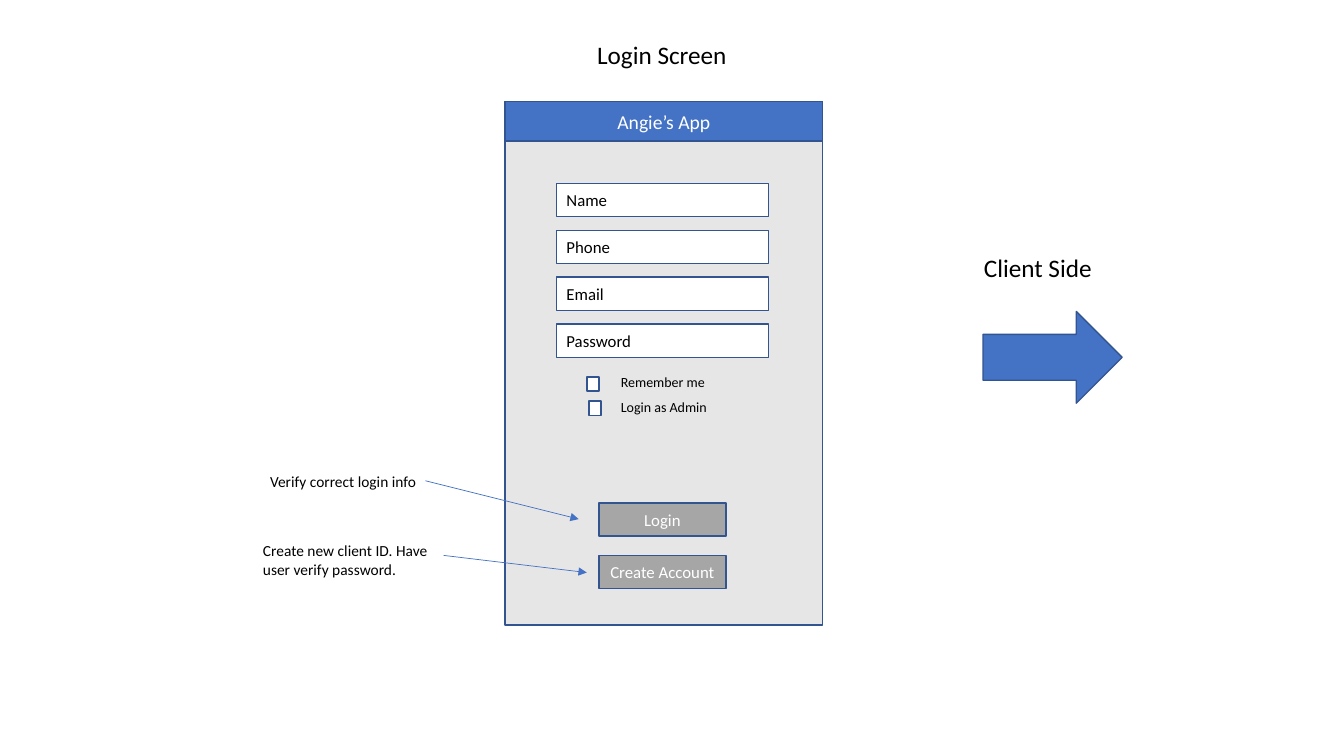
from lxml import etree
from pptx import Presentation
from pptx.dml.color import RGBColor
from pptx.enum.shapes import MSO_CONNECTOR as CONNECTOR, MSO_SHAPE as SHAPE
from pptx.enum.text import MSO_ANCHOR as ANCHOR, MSO_AUTO_SIZE as AUTO, PP_ALIGN as ALIGN
from pptx.oxml.ns import qn
from pptx.util import Inches, Pt

BLUE, OUTLINE, PANEL, BUTTON = "4472C4", "325491", "E7E6E6", "A6A6A6"
BLACK, WHITE = "000000", "FFFFFF"


def color(value):
    return RGBColor.from_string(value)


def write(frame, text, size, ink=BLACK, align=ALIGN.LEFT, anchor=ANCHOR.TOP):
    frame.word_wrap = True
    frame.auto_size = AUTO.NONE
    frame.vertical_anchor = anchor
    frame.margin_left = frame.margin_right = Inches(0.1)
    frame.margin_top = frame.margin_bottom = Inches(0.05)
    paragraph = frame.paragraphs[0]
    paragraph.alignment = align
    run = paragraph.add_run()
    run.text = text
    run.font.name = "Calibri"
    run.font.size = Pt(size)
    run.font.color.rgb = color(ink)


def add_box(slide, left, top, width, height, fill, kind=SHAPE.RECTANGLE):
    box = slide.shapes.add_shape(
        kind, Inches(left), Inches(top), Inches(width), Inches(height))
    box.shadow.inherit = False
    box.fill.solid()
    box.fill.fore_color.rgb = color(fill)
    box.line.color.rgb = color(OUTLINE)
    box.line.width = Pt(1)
    return box


def add_label(slide, left, top, width, height, text, size):
    label = slide.shapes.add_textbox(
        Inches(left), Inches(top), Inches(width), Inches(height))
    write(label.text_frame, text, size)


def add_arrow(slide, start, end):
    arrow = slide.shapes.add_connector(
        CONNECTOR.STRAIGHT, *(Inches(length) for length in (*start, *end)))
    arrow.line.color.rgb = color(BLUE)
    arrow.line.width = Pt(0.5)
    properties = arrow.element.spPr
    etree.SubElement(properties.find(qn("a:ln")), qn("a:tailEnd"), type="triangle")
    etree.SubElement(properties, qn("a:effectLst"))


def place_title(slide, left, top, width, height):
    title = slide.shapes.title
    title.left, title.top = Inches(left), Inches(top)
    title.width, title.height = Inches(width), Inches(height)
    write(title.text_frame, "Login Screen", 18, align=ALIGN.CENTER)


def draw_phone(slide, left, top, width, height):
    add_box(slide, left, top, width, height, PANEL)
    header = add_box(slide, left, top, width, 0.39, BLUE)
    write(header.text_frame, "Angie’s App", 14, WHITE, ALIGN.CENTER, ANCHOR.MIDDLE)
    draw_fields(slide, left + 0.51, top + 0.81, 2.1)
    draw_options(slide, left + 0.81, top + 2.65, 1.67)
    draw_buttons(slide, left + 0.93, top + 3.98, 1.26)


def draw_fields(slide, left, top, width):
    for row, name in enumerate(("Name", "Phone", "Email", "Password")):
        field = add_box(slide, left, top + row * 0.465, width, 0.33, WHITE)
        write(field.text_frame, name, 12, anchor=ANCHOR.MIDDLE)


def draw_options(slide, left, top, width):
    for row, option in enumerate(("Remember me", "Login as Admin")):
        row_top = top + row * 0.24
        add_box(slide, left + row * 0.02, row_top + 0.08, 0.12, 0.14, WHITE)
        add_label(slide, left + 0.24, row_top, width - 0.24, 0.27, option, 10)


def draw_buttons(slide, left, top, width):
    for row, action in enumerate(("Login", "Create Account")):
        button = add_box(slide, left, top + row * 0.52, width, 0.33, BUTTON)
        write(button.text_frame, action, 12, WHITE, ALIGN.CENTER, ANCHOR.MIDDLE)


def draw_notes(slide, left, top):
    add_label(slide, left + 0.07, top, 1.89, 0.29, "Verify correct login info", 11)
    add_arrow(slide, (left + 1.71, top + 0.14), (left + 3.23, top + 0.52))
    add_label(slide, left, top + 0.69, 2.04, 0.47,
              "Create new client ID. Have user verify password.", 11)
    add_arrow(slide, (left + 1.89, top + 0.88), (left + 3.31, top + 1.05))


def draw_client_side(slide, left, top, width):
    add_label(slide, left, top, width, 0.4, "Client Side", 18)
    add_box(slide, left + 0.09, top + 0.64, width, 0.91, BLUE, SHAPE.RIGHT_ARROW)


def main():
    deck = Presentation()
    deck.slide_width, deck.slide_height = Inches(13.33), Inches(7.5)
    slide = deck.slides.add_slide(deck.slide_layouts.get_by_name("Title Only"))
    place_title(slide, 5.66, 0.34, 1.81, 0.4)
    draw_phone(slide, 5.01, 1.01, 3.15, 5.19)
    draw_notes(slide, 2.51, 4.63)
    draw_client_side(slide, 9.66, 2.45, 1.38)
    deck.save("out.pptx")


if __name__ == "__main__":
    main()
